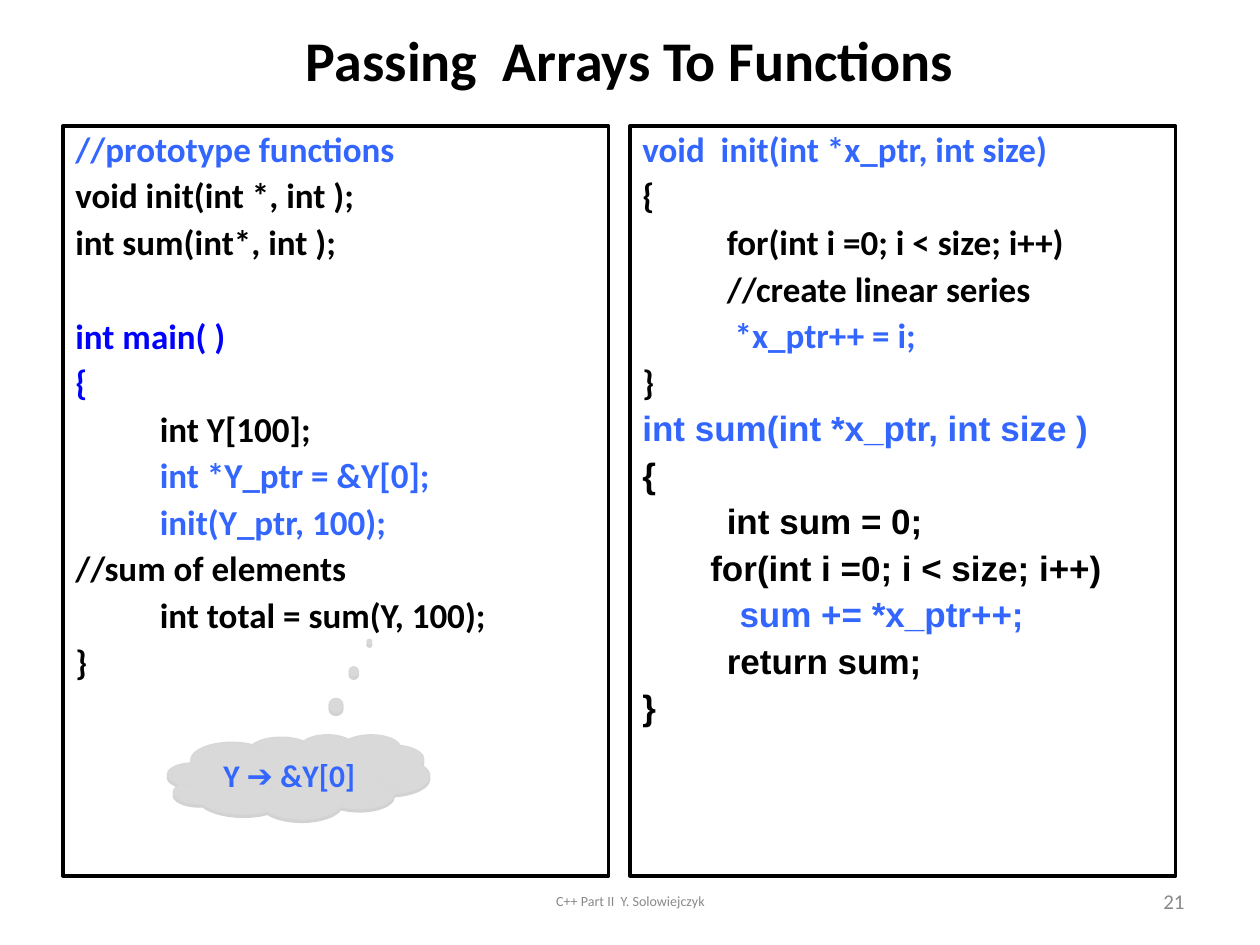
from lxml import etree
from pptx import Presentation
from pptx import util as u
from pptx.dml.color import RGBColor
from pptx.enum import shapes, text
from pptx.oxml.ns import qn

BLACK = RGBColor(0x00, 0x00, 0x00)
SKY = RGBColor(0x33, 0x66, 0xFF)
BLUE = RGBColor(0x00, 0x00, 0xFF)
GRAY = RGBColor(0x89, 0x89, 0x89)
CLOUD = RGBColor(0xD9, 0xD9, 0xD9)
CLOUD_EDGE = RGBColor(0xD8, 0xD8, 0xD8)
SANS, ARIAL = "Calibri", "Arial"

TITLE = "Passing  Arrays To Functions"
FOOTER = "C++ Part II  Y. Solowiejczyk"
NUMBER = "21"
GAP, SECTION_GAP = 5, 32

MAIN_CODE = [
    ("//prototype functions", SKY, SANS, 0),
    ("void init(int *, int );", BLACK, SANS, GAP),
    ("int sum(int*, int );", BLACK, SANS, GAP),
    ("int main( )", BLUE, SANS, SECTION_GAP),
    ("{", BLUE, SANS, GAP),
    ("\tint Y[100];", BLACK, SANS, GAP),
    ("\tint *Y_ptr = &Y[0];", SKY, SANS, GAP),
    ("\tinit(Y_ptr, 100);", SKY, SANS, GAP),
    ("//sum of elements", BLACK, SANS, GAP),
    ("\tint total = sum(Y, 100);", BLACK, SANS, GAP),
    ("}", BLACK, SANS, GAP),
]
FUNCTION_CODE = [
    ("void  init(int *x_ptr, int size)", SKY, SANS, 0),
    ("{", BLACK, SANS, GAP),
    ("\tfor(int i =0; i < size; i++)", BLACK, SANS, GAP),
    ("\t//create linear series", BLACK, SANS, GAP),
    ("\t *x_ptr++ = i;", SKY, SANS, GAP),
    ("}", BLACK, SANS, GAP),
    ("int sum(int *x_ptr, int size )", SKY, ARIAL, GAP),
    ("{", BLACK, ARIAL, GAP),
    ("\tint sum = 0;", BLACK, ARIAL, GAP),
    ("       for(int i =0; i < size; i++)", BLACK, ARIAL, GAP),
    ("          sum += *x_ptr++;", SKY, ARIAL, GAP),
    ("\treturn sum;", BLACK, ARIAL, GAP),
    ("}", BLACK, ARIAL, GAP),
]
CALLOUT = [("Y ", SANS), ("➔", ARIAL), (" &Y[0]", SANS)]

MARGIN, TOP, PANEL_W, PANEL_H, GUTTER = 0.5, 1, 4.33, 5.95, 0.17


def inches(*lengths):
    return [u.Inches(n) for n in lengths]


def add_run(p, words, size, color, font=SANS, bold=True):
    r = p.add_run()
    r.text = words
    r.font.name, r.font.size, r.font.bold = font, u.Pt(size), bold
    r.font.color.rgb = color


def add_label(s, box, words, size, color, align, bold=False):
    tf = s.shapes.add_textbox(*inches(*box)).text_frame
    tf.word_wrap = True
    tf.vertical_anchor = text.MSO_ANCHOR.MIDDLE
    p = tf.paragraphs[0]
    p.alignment = align
    add_run(p, words, size, color, bold=bold)
    return p


def add_panel(s, column, code):
    left = MARGIN + column * (PANEL_W + GUTTER)
    sp = s.shapes.add_shape(shapes.MSO_SHAPE.RECTANGLE,
                            *inches(left, TOP, PANEL_W, PANEL_H))
    sp.shadow.inherit = False
    sp.fill.background()
    sp.line.color.rgb, sp.line.width = BLACK, u.Pt(2.25)
    tf = sp.text_frame
    tf.word_wrap = True
    tf.vertical_anchor = text.MSO_ANCHOR.TOP
    for i, (words, color, font, gap) in enumerate(code):
        p = tf.add_paragraph() if i else tf.paragraphs[0]
        p.alignment = text.PP_ALIGN.LEFT
        p.line_spacing, p.space_before = 0.9, u.Pt(gap)
        pPr = p._p.get_or_add_pPr()
        pPr.set("marL", str(u.Inches(0.67)))
        pPr.set("indent", str(u.Inches(-0.67)))
        add_run(p, words, 20, color, font)


def add_cloud(s):
    sp = s.shapes.add_shape(shapes.MSO_SHAPE.CLOUD_CALLOUT,
                            *inches(1.33, 5.83, 2.08, 0.67))
    sp.adjustments[0], sp.adjustments[1] = 0.27, -1.6
    sp.fill.solid()
    sp.fill.fore_color.rgb = CLOUD
    sp.line.color.rgb, sp.line.width = CLOUD_EDGE, u.Pt(0.75)
    sp.shadow.inherit = False
    effects = sp._element.spPr.find(qn("a:effectLst"))
    shadow = etree.SubElement(effects, qn("a:outerShdw"), blurRad="0",
                              dist=str(u.Pt(1.8)), dir="5400000", rotWithShape="0")
    tint = etree.SubElement(shadow, qn("a:srgbClr"), val="808080")
    etree.SubElement(tint, qn("a:alpha"), val="35000")
    tf = sp.text_frame
    tf.word_wrap = True
    tf.vertical_anchor = text.MSO_ANCHOR.MIDDLE
    p = tf.paragraphs[0]
    p.alignment = text.PP_ALIGN.CENTER
    for words, font in CALLOUT:
        add_run(p, words, 18, SKY, font)


def main():
    prs = Presentation()
    prs.slide_width, prs.slide_height = inches(10, 7.5)
    s = prs.slides.add_slide(prs.slide_layouts[6])
    add_label(s, (3.42, 6.95, 3.17, 0.4), FOOTER, 8, GRAY, text.PP_ALIGN.CENTER)
    add_label(s, (7.17, 6.95, 2.33, 0.4), NUMBER, 12, GRAY, text.PP_ALIGN.RIGHT)
    title = add_label(s, (MARGIN, 0, 9, TOP), TITLE, 32, BLACK,
                      text.PP_ALIGN.CENTER, bold=True)
    title.line_spacing = 0.9
    for column, code in enumerate((MAIN_CODE, FUNCTION_CODE)):
        add_panel(s, column, code)
    add_cloud(s)
    prs.save("out.pptx")


if __name__ == "__main__":
    main()
